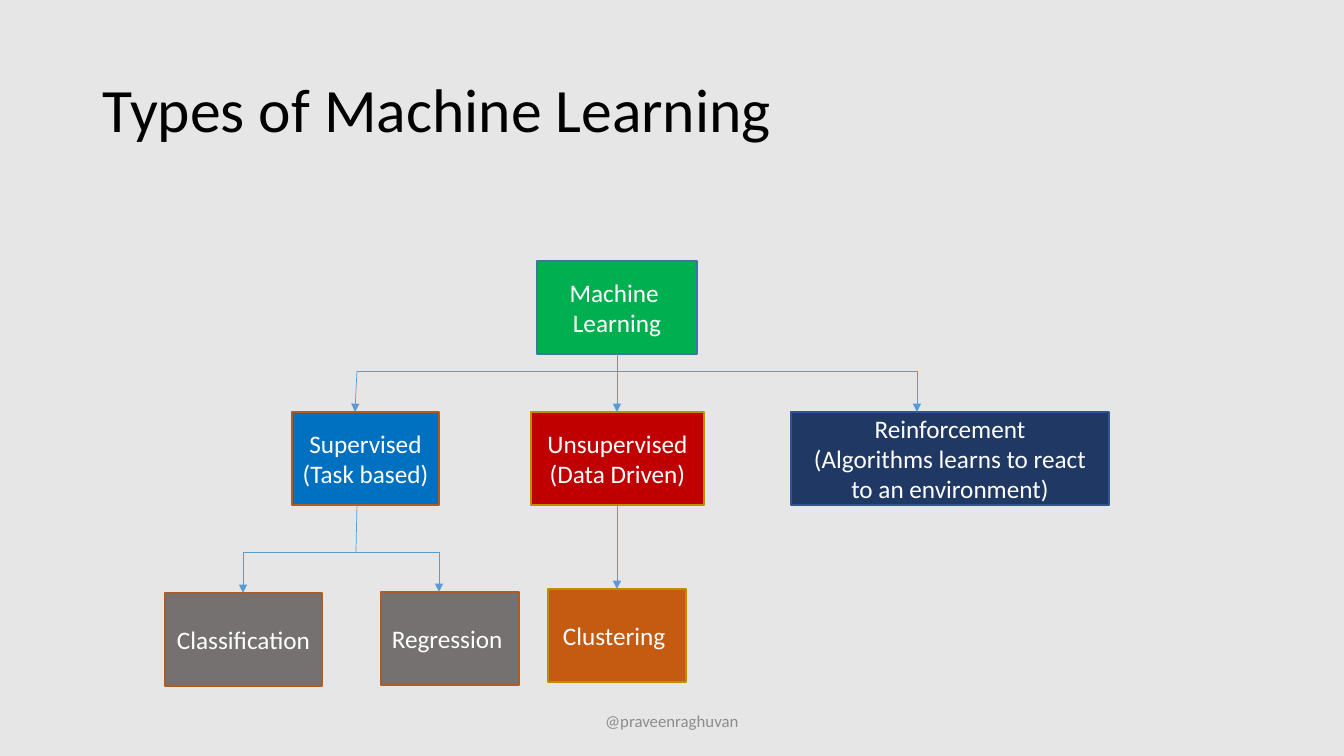
"""Build the slide on the types of machine learning."""
from lxml import etree
from pptx import Presentation
from pptx.dml.color import RGBColor
from pptx.enum.shapes import MSO_CONNECTOR, MSO_SHAPE
from pptx.enum.text import MSO_ANCHOR, PP_ALIGN
from pptx.oxml.ns import qn
from pptx.util import Pt

RECT = MSO_SHAPE.RECTANGLE
LINE = MSO_CONNECTOR.STRAIGHT
MIDDLE = MSO_ANCHOR.MIDDLE
LEFT, CENTER = PP_ALIGN.LEFT, PP_ALIGN.CENTER

PAPER = RGBColor(0xE7, 0xE6, 0xE6)
BLACK = RGBColor(0, 0, 0)
WHITE = RGBColor(0xFF, 0xFF, 0xFF)
MUTED = RGBColor(0x8C, 0x8C, 0x8C)
GREEN = RGBColor(0x00, 0xB0, 0x50)
BLUE = RGBColor(0x00, 0x70, 0xC0)
RED = RGBColor(0xC0, 0x00, 0x00)
NAVY = RGBColor(0x20, 0x38, 0x64)
GRAY = RGBColor(0x76, 0x71, 0x71)
RUST = RGBColor(0xC5, 0x5A, 0x11)
STEEL = RGBColor(0x43, 0x73, 0x9E)
BROWN = RGBColor(0xAF, 0x5C, 0x24)
GOLD = RGBColor(0xBD, 0x8E, 0x00)
INDIGO = RGBColor(0x32, 0x54, 0x91)
SKY = RGBColor(0x5B, 0x9B, 0xD5)

FONT = "Calibri"
WIDTH, HEIGHT = 1344, 756
EMU = 914400 / 100.8
BOX_H = 93
TOP, MID = 261, 412
BUS, FORK = 371, 552

TEXTS = [
    ("Types of Machine Learning", (93, 40, 1159, 146), LEFT, 0.9, 44, BLACK),
    ("@praveenraghuvan", (445, 701, 454, 40), CENTER, 1.0, 12, MUTED),
]

BOXES = [
    (["Machine ", "Learning"], 537, TOP, 160, GREEN, STEEL),
    (["Supervised", "(Task based) "], 292, MID, 147, BLUE, BROWN),
    (["Unsupervised", "(Data Driven)"], 531, MID, 173, RED, GOLD),
    (["Reinforcement", "(Algorithms learns to react to an environment)"],
     791, MID, 318, NAVY, INDIGO),
    (["Classification "], 165, 593, 157, GRAY, BROWN),
    (["Regression "], 381, 592, 138, GRAY, BROWN),
    (["Clustering "], 548, 589, 138, RUST, GOLD),
]

BARS = [
    ((357, BUS), (917, BUS)),
    ((357, MID + BOX_H), (356, FORK)),
    ((243, FORK), (439, FORK)),
]
ARROWS = [
    ((617, TOP + BOX_H), (617, MID)),
    ((357, BUS), (355, MID)),
    ((917, BUS), (917, MID)),
    ((243, FORK), (243, 593)),
    ((439, FORK), (439, 592)),
    ((617, MID + BOX_H), (617, 589)),
]


def emu(*sizes):
    return [round(size * EMU) for size in sizes]


def write(shape, lines, align, size, color, space=1.0):
    frame = shape.text_frame
    frame.word_wrap = True
    frame.vertical_anchor = MIDDLE
    frame.text = "\n".join(lines)
    style = {"name": FONT, "size": Pt(size)}
    for para in frame.paragraphs:
        para.alignment = align
        para.line_spacing = space
        for key, value in style.items():
            setattr(para.font, key, value)
        para.font.color.rgb = color


def link(slide, start, end, arrow):
    line = slide.shapes.add_connector(LINE, *emu(*start, *end))
    line.line.color.rgb = SKY
    line.line.width = Pt(0.5)
    if arrow:
        stroke = line.line._get_or_add_ln()
        etree.SubElement(stroke, qn("a:tailEnd"), type="triangle")
    etree.SubElement(line._element.spPr, qn("a:effectLst"))


def main():
    deck = Presentation()
    deck.slide_width, deck.slide_height = emu(WIDTH, HEIGHT)
    slide = deck.slides.add_slide(deck.slide_layouts[6])
    slide.background.fill.solid()
    slide.background.fill.fore_color.rgb = PAPER

    for text, area, align, space, size, color in TEXTS:
        label = slide.shapes.add_textbox(*emu(*area))
        write(label, [text], align, size, color, space)

    for lines, left, top, width, fill, edge in BOXES:
        box = slide.shapes.add_shape(RECT, *emu(left, top, width, BOX_H))
        box.shadow.inherit = False
        box.fill.solid()
        box.fill.fore_color.rgb = fill
        box.line.color.rgb = edge
        box.line.width = Pt(1)
        write(box, lines, CENTER, 18, WHITE)

    for group, arrow in ((BARS, False), (ARROWS, True)):
        for start, end in group:
            link(slide, start, end, arrow)

    deck.save("out.pptx")


if __name__ == "__main__":
    main()
